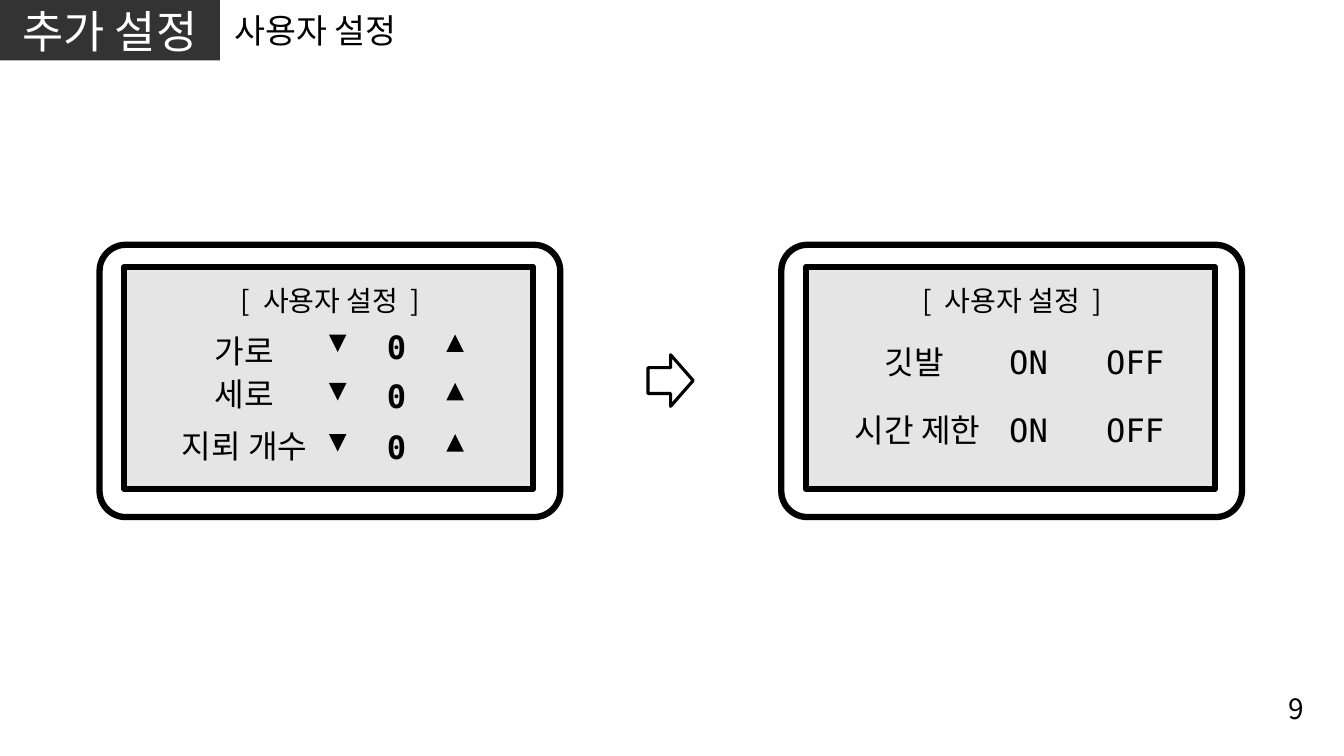
from dataclasses import dataclass

from lxml.etree import SubElement
from pptx import Presentation
from pptx.dml.color import RGBColor
from pptx.enum.shapes import MSO_SHAPE as Shape
from pptx.enum.text import MSO_ANCHOR as Anchor, MSO_AUTO_SIZE as AutoSize, PP_ALIGN as Align
from pptx.oxml.ns import qn
from pptx.util import Cm, Pt

BLACK = RGBColor(0x00, 0x00, 0x00)
WHITE = RGBColor(0xFF, 0xFF, 0xFF)
GREY = RGBColor(0xBF, 0xBF, 0xBF)
SANS = "Noto Sans CJK KR"
MONO = "DejaVu Sans Mono"
PANEL_TOP = 6.17
ARROW_DROP = 0.3


@dataclass(frozen=True)
class Box:
    left: float
    top: float
    width: float
    height: float

    def shifted(self, dx: float, dy: float) -> "Box":
        return Box(self.left + dx, self.top + dy, self.width, self.height)

    def lengths(self) -> tuple:
        return Cm(self.left), Cm(self.top), Cm(self.width), Cm(self.height)


@dataclass(frozen=True)
class Style:
    size: float
    font: str = SANS
    color: RGBColor = BLACK
    bold: bool = False


@dataclass(frozen=True)
class Part:
    text: str
    spacing: float = 0


@dataclass(frozen=True)
class Counter:
    label: str
    label_top: float
    value_top: float


@dataclass(frozen=True)
class Switch:
    label: str
    top: float


HEADING = [Part("["), Part(" ", 4.5), Part("사용자 설정"), Part(" ", 4.5), Part("]")]
ON_OFF = [Part("ON"), Part(" ", 27.7), Part("OFF")]
ROW = Style(23)
COUNTERS = [
    Counter("가로", 2.06, 1.96),
    Counter("세로", 3.15, 3.18),
    Counter("지뢰 개수", 4.45, 4.47),
]
SWITCHES = [Switch("깃발 ", 2.34), Switch("시간 제한", 4.04)]


def fill_shape(sp, color: RGBColor, opacity: int = 100) -> None:
    sp.fill.solid()
    sp.fill.fore_color.rgb = color
    if opacity < 100:
        clr = sp.fill._xPr.find(qn("a:solidFill"))[0]
        SubElement(clr, qn("a:alpha"), val=str(opacity * 1000))


def add_runs(p, parts: list[Part], style: Style) -> None:
    for part in parts:
        r = p.add_run()
        r.text = part.text
        r.font.size = Pt(style.size)
        r.font.name = style.font
        r.font.bold = style.bold
        r.font.color.rgb = style.color
        rPr = r.font._element
        SubElement(rPr, qn("a:ea"), typeface=style.font)
        if part.spacing:
            rPr.set("spc", str(round(part.spacing * 100)))


def add_text(shapes, box: Box, parts: list[Part], style: Style, align=Align.CENTER) -> None:
    tf = shapes.add_textbox(*box.lengths()).text_frame
    tf.word_wrap = True
    tf.auto_size = AutoSize.SHAPE_TO_FIT_TEXT
    p = tf.paragraphs[0]
    p.alignment = align
    add_runs(p, parts, style)


def add_shape(shapes, kind, box: Box, fill=None, opacity: int = 100, line: float = 0):
    sp = shapes.add_shape(kind, *box.lengths())
    sp.shadow.inherit = False
    if fill is None:
        sp.fill.background()
    else:
        fill_shape(sp, fill, opacity)
    if line:
        sp.line.color.rgb = BLACK
        sp.line.width = Pt(line)
    else:
        sp.line.fill.background()
    return sp


def add_panel(slide, left: float):
    shapes = slide.shapes.add_group_shape().shapes
    screen = Box(0.62, 0.64, 10.31, 5.51).shifted(left, PANEL_TOP)
    add_shape(shapes, Shape.RECTANGLE, screen, GREY, 40)
    for box, corner in ((Box(0, 0, 11.61, 6.86), 0.096), (Box(0.62, 0.56, 10.31, 5.59), 0)):
        sp = add_shape(shapes, Shape.ROUNDED_RECTANGLE, box.shifted(left, PANEL_TOP), line=4.5)
        sp.adjustments[0] = corner
    add_text(shapes, Box(0.72, 0.86, 10.21, 1.12).shifted(left, PANEL_TOP), HEADING, Style(20))
    return shapes


def add_counter(shapes, left: float, row: Counter) -> None:
    label = Box(1.6, row.label_top, 4.11, 1.25)
    value = Box(6.29, row.value_top, 2.39, 1.25)
    add_text(shapes, label.shifted(left, PANEL_TOP), [Part(row.label)], ROW)
    add_text(shapes, value.shifted(left, PANEL_TOP), [Part("0")], Style(23, MONO, bold=True))
    for x, rotation in ((5.78, 180), (8.74, 0)):
        arrow = Box(x, row.value_top + ARROW_DROP, 0.44, 0.44)
        sp = add_shape(shapes, Shape.ISOSCELES_TRIANGLE, arrow.shifted(left, PANEL_TOP), BLACK)
        sp.rotation = rotation


def add_switch(shapes, left: float, row: Switch) -> None:
    label = Box(1.18, row.top, 4.52, 1.25)
    choice = Box(4.45, row.top, 6.5, 1.25)
    add_text(shapes, label.shifted(left, PANEL_TOP), [Part(row.label)], ROW)
    add_text(shapes, choice.shifted(left, PANEL_TOP), ON_OFF, Style(23, MONO))


def add_title(slide, text: str) -> None:
    sp = slide.shapes.title
    sp.left, sp.top, sp.width, sp.height = Box(0, 0, 5.54, 1.52).lengths()
    fill_shape(sp, BLACK, 80)
    tf = sp.text_frame
    tf.auto_size = AutoSize.NONE
    tf.vertical_anchor = Anchor.MIDDLE
    p = tf.paragraphs[0]
    p.alignment = Align.CENTER
    add_runs(p, [Part(text)], Style(32, color=WHITE))


def main() -> None:
    prs = Presentation()
    prs.slide_width, prs.slide_height = Cm(33.87), Cm(19.05)
    slide = prs.slides.add_slide(prs.slide_layouts[5])

    add_title(slide, "추가 설정")
    subtitle = Box(5.66, 0.13, 10.16, 1.27)
    add_text(slide.shapes, subtitle, [Part("사용자 설정")], Style(24), Align.LEFT)

    counter_left, switch_left = 2.51, 19.69
    panel = add_panel(slide, counter_left)
    for row in COUNTERS:
        add_counter(panel, counter_left, row)
    panel = add_panel(slide, switch_left)
    for row in SWITCHES:
        add_switch(panel, switch_left, row)

    add_shape(slide.shapes, Shape.RIGHT_ARROW, Box(16.33, 8.94, 1.14, 1.3), WHITE, line=2.25)
    page_number = Box(27.43, 17.3, 5.69, 1.12)
    add_text(slide.shapes, page_number, [Part("9")], Style(20), Align.RIGHT)
    prs.save("out.pptx")


if __name__ == "__main__":
    main()
